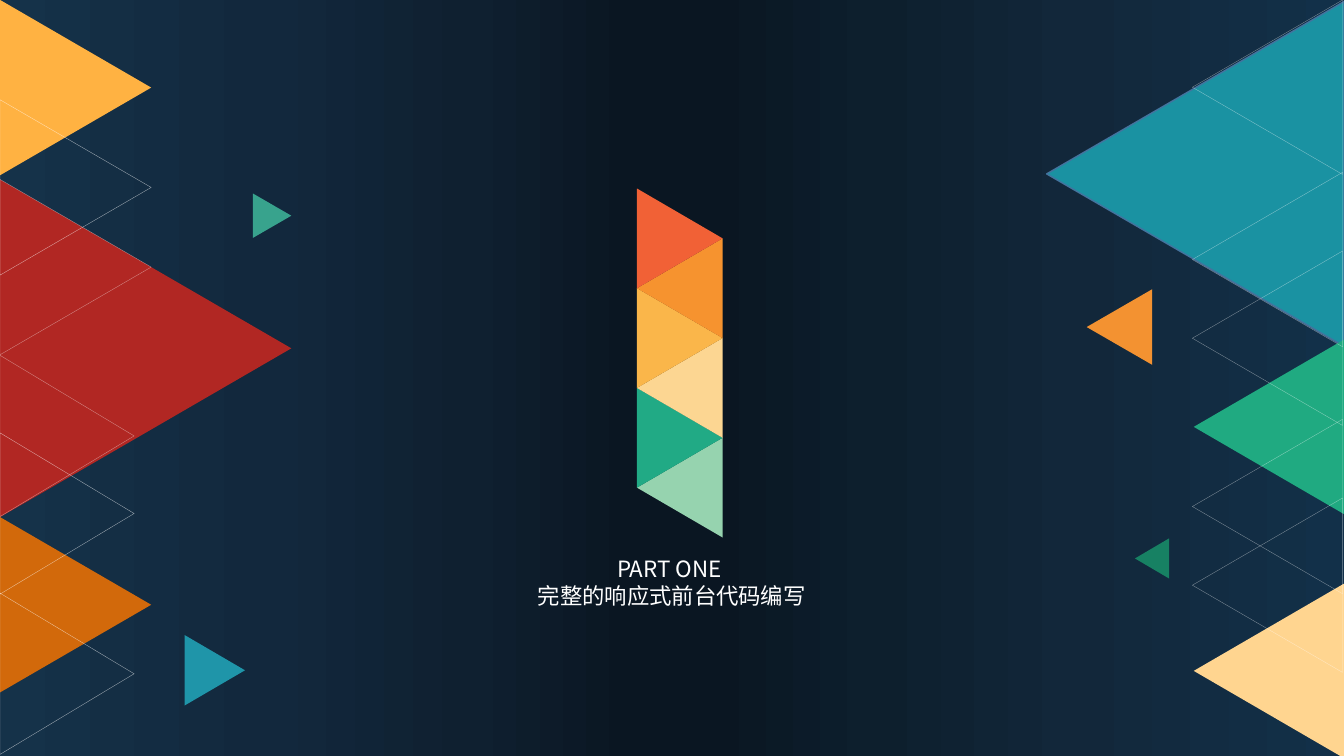
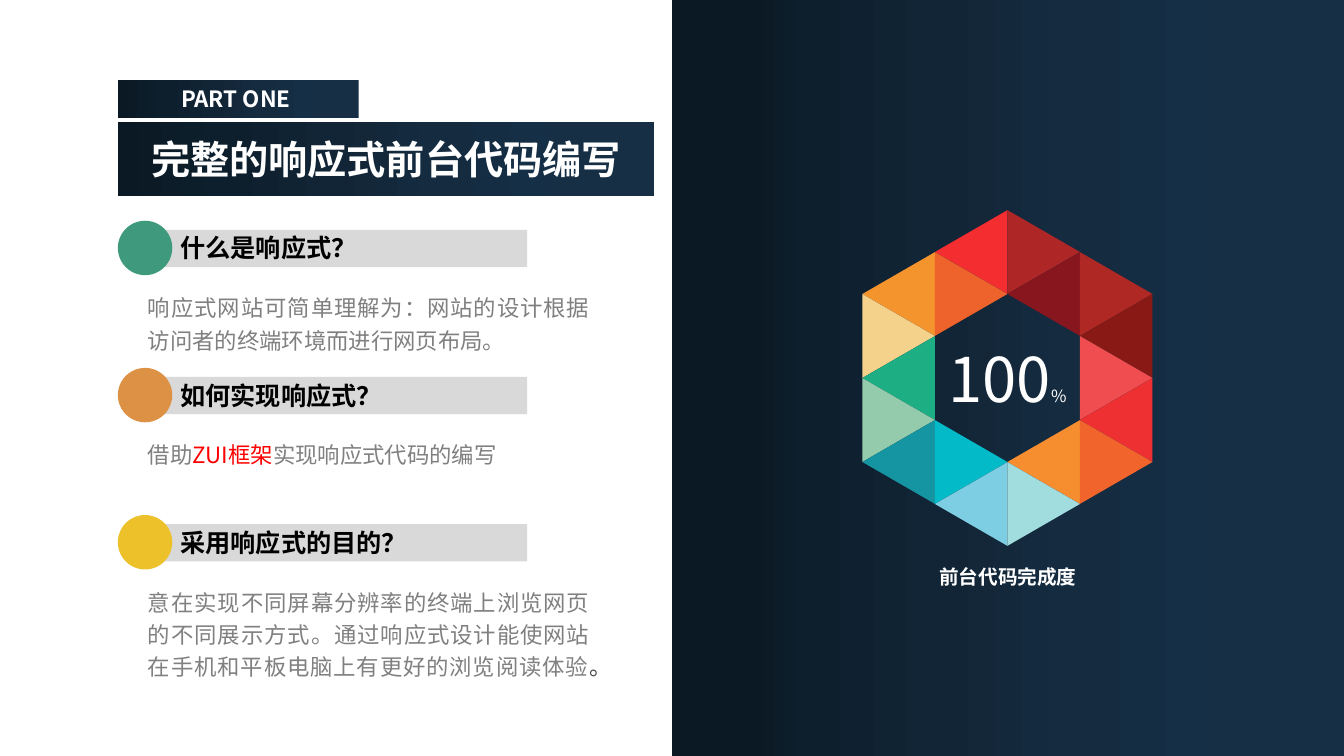
"""Build a section opener and a topic slide decorated with triangles."""
from dataclasses import dataclass
from typing import Any

from lxml import etree
from pptx import Presentation
from pptx import util as u
from pptx.dml import color as dml
from pptx.enum import shapes, text
from pptx.oxml.ns import qn

FONT = "Noto Sans CJK SC"
WHITE, BLACK, GREY = "FFFFFF", "000000", "808080"
WIDTH, HEIGHT = 960, 540
RIGHT, LEFT = 90, 270
PART, TITLE = "PART ONE ", "完整的响应式前台代码编写"

Stops = list[tuple[int, str]]
Runs = list[tuple[str, str]]
Box = tuple[float, float, float, float]

NIGHT: Stops = [(0, "123049"), (20, "12273A"), (35, "0D1F2D"), (47, "0A1622"),
                (53, "0A1622"), (65, "0F2030"), (80, "12283D"), (100, "153249")]
NAVY: Stops = [(0, "162F45"), (20, "152F46"), (40, "152B40"), (60, "122536"), (80, "0D1F2D")]
BAR_STOPS = NAVY + [(100, "0B1924")]
PANEL_STOPS = NAVY + [(88, "0B1924")]


@dataclass
class Triangle:
    base: float
    middle: float
    side: float
    reach: float
    facing: int
    fill: str = ""
    line: str = ""
    weight: float = 0.25
    opacity: int = 100


@dataclass
class Topic:
    heading: str
    dot: str
    height: float
    body: Runs


EDGES = [
    Triangle(WIDTH, 124.2, 246.2, 212.4, LEFT, "1A92A2", "43739E", 1),
    Triangle(WIDTH, 304.9, 124.6, 107.3, LEFT, "20AA81"),
    Triangle(WIDTH, 479.2, 124.6, 107.3, LEFT, "FFD590"),
    Triangle(0, 248.8, 241.2, 208.1, RIGHT, "B12723"),
    Triangle(0, 62.6, 125.3, 108, RIGHT, "FFB242"),
    Triangle(0, 432, 125.3, 108, RIGHT, "D2690B"),
]
OUTLINES = [
    Triangle(base, middle, side, reach, facing, line=WHITE, opacity=opacity)
    for base, side, reach, facing, rows in [
        (0, 125.3, 108, RIGHT, [(133.9, 60), (190.8, 45)]),
        (0, 115.2, 95.8, RIGHT, [(311.4, 45), (366.8, 60), (481.3, 60)]),
        (959, 124.6, 107.3, LEFT,
         [(middle, 45) for middle in (62.3, 185.4, 241.6, 361.8, 418)]),
    ]
    for middle, opacity in rows
]
LOOSE = [
    Triangle(823, 233.6, 54, 46.8, LEFT, "F39231"),
    Triangle(180.7, 154.1, 31.7, 27.4, RIGHT, "38A38D"),
    Triangle(131.8, 478.8, 50.4, 43.2, RIGHT, "1F95A9"),
    Triangle(835.2, 398.9, 28.8, 24.5, LEFT, "178163"),
]
NUMERAL = ["F16136", "F6932F", "FAB64A", "FCD692", "21AA85", "96D3AF"]
HEXAGON = [
    {1: "F4942D", 2: "F4D28C", 3: "1DAE84", 4: "93CBAC", 5: "1595A1"},
    {0: "F32D30", 1: "EE622B", 5: "03BBC8", 6: "7DCEE2"},
    {0: "AF2627", 1: "88161E", 5: "F68D2F", 6: "A1DCDF"},
    {1: "AF2823", 2: "881914", 3: "F04D50", 4: "EE3032", 5: "F1642B"},
]
TOPICS = [
    Topic("什么是响应式？", "3F997D", 52,
          [("响应式网站可简单理解为：网站的设计根据访问者的终端环境而进行网页布局。", GREY)]),
    Topic("如何实现响应式？", "DC9145", 30,
          [("借助", GREY), ("ZUI框架", "FF0000"), ("实现响应式代码的编写", GREY)]),
    Topic("采用响应式的目的？", "ECC129", 77,
          [("意在实现不同屏幕分辨率的终端上浏览网页的不同展示方式。"
            "通过响应式设计能使网站在手机和平板电脑上有更好的浏览阅读体验", GREY),
           ("。", "404040")]),
]


def rgb(code: str) -> dml.RGBColor:
    return dml.RGBColor.from_string(code)


def set_gradient(owner: Any, fill: Any, stops: Stops) -> None:
    fill.gradient()
    fill.gradient_angle = 180
    stop_list = next(owner.element.iter(qn("a:gsLst")))
    for stop in list(stop_list):
        stop_list.remove(stop)
    for position, code in stops:
        stop = etree.SubElement(stop_list, qn("a:gs"), pos=str(position * 1000))
        etree.SubElement(stop, qn("a:srgbClr"), val=code)


def add_shape(page: Any, kind: Any, box: Box, fill: str | Stops = "") -> Any:
    shape = page.shapes.add_shape(kind, *map(u.Pt, box))
    shape.shadow.inherit = False
    shape.line.fill.background()
    if isinstance(fill, list):
        set_gradient(shape, shape.fill, fill)
    elif fill:
        shape.fill.solid()
        shape.fill.fore_color.rgb = rgb(fill)
    else:
        shape.fill.background()
    return shape


def add_triangle(page: Any, item: Triangle) -> None:
    center = item.base + item.reach / 2 * (1 if item.facing == RIGHT else -1)
    box = (center - item.side / 2, item.middle - item.reach / 2, item.side, item.reach)
    shape = add_shape(page, shapes.MSO_SHAPE.ISOSCELES_TRIANGLE, box, item.fill)
    shape.rotation = item.facing
    if item.line:
        shape.line.color.rgb = rgb(item.line)
        shape.line.width = u.Pt(item.weight)
    if item.opacity < 100:
        color = shape.element.find(f".//{qn('a:ln')}//{qn('a:srgbClr')}")
        etree.SubElement(color, qn("a:alpha"), val=str(item.opacity * 1000))


def write(frame: Any, paragraphs: list[Runs], *, size: float, bold: bool = False,
          align: Any = text.PP_ALIGN.CENTER, spacing: float | None = None,
          small: float | None = None) -> None:
    frame.word_wrap = True
    for index, runs in enumerate(paragraphs):
        para = frame.add_paragraph() if index else frame.paragraphs[0]
        para.alignment = align
        para.line_spacing = spacing
        for order, (words, code) in enumerate(runs):
            span = para.add_run()
            span.text = words
            span.font.size = u.Pt(small if small and order else size)
            span.font.bold = bold
            span.font.color.rgb = rgb(code)
            span.font.name = FONT
            etree.SubElement(span.font._element, qn("a:ea"), typeface=FONT)


def add_text(page: Any, box: Box, paragraphs: list[Runs], **style: Any) -> None:
    frame = page.shapes.add_textbox(*map(u.Pt, box)).text_frame
    frame.auto_size = text.MSO_AUTO_SIZE.SHAPE_TO_FIT_TEXT
    write(frame, paragraphs, **style)


def add_bar(page: Any, box: Box, words: str, size: float) -> None:
    bar = add_shape(page, shapes.MSO_SHAPE.RECTANGLE, box, BAR_STOPS)
    bar.text_frame.vertical_anchor = text.MSO_ANCHOR.MIDDLE
    write(bar.text_frame, [[(words, WHITE)]], size=size, bold=True)


def add_topic(page: Any, topic: Topic, offset: float) -> None:
    add_shape(page, shapes.MSO_SHAPE.RECTANGLE, (105.8, 164.2 + offset, 270.7, 26.6), "D9D9D9")
    add_shape(page, shapes.MSO_SHAPE.OVAL, (84.2, 157.7 + offset, 38.9, 38.9), topic.dot)
    add_text(page, (121.7, 162.7 + offset, 180, 28.8), [[(topic.heading, BLACK)]],
             size=18, bold=True, align=text.PP_ALIGN.LEFT)
    add_text(page, (98.6, 203 + offset, 329.8, topic.height), [topic.body],
             size=16, align=text.PP_ALIGN.JUSTIFY, spacing=1.2)


def build_opener(page: Any) -> None:
    set_gradient(page, page.background.fill, NIGHT)
    numeral = [
        Triangle(516.2 if row % 2 else 455, 170.3 + 35.6 * row, 71.3, 61.2,
                 LEFT if row % 2 else RIGHT, fill)
        for row, fill in enumerate(NUMERAL)
    ]
    for item in EDGES + numeral[::-1] + OUTLINES + LOOSE:
        add_triangle(page, item)
    add_text(page, (240.5, 393.1, 478.8, 46.1), [[(PART, WHITE)], [(TITLE, WHITE)]], size=16)


def build_hexagon(page: Any) -> None:
    reach = 51.8
    for column, cells in enumerate(HEXAGON):
        for row, fill in cells.items():
            odd = (column + row) % 2
            base = 616 + reach * (column + odd)
            add_triangle(page, Triangle(base, 180 + 30 * row, 59.8, reach,
                                        LEFT if odd else RIGHT, fill))


def build_topics(page: Any) -> None:
    add_shape(page, shapes.MSO_SHAPE.RECTANGLE, (WIDTH / 2, 0, WIDTH / 2, HEIGHT), PANEL_STOPS)
    build_hexagon(page)
    add_text(page, (616.3, 400.3, 207.4, 24.5), [[("前台代码完成度", WHITE)]], size=14, bold=True)
    add_text(page, (668.2, 239.8, 103, 60.5), [[("100", WHITE), ("%", WHITE)]], size=44, small=12)
    add_bar(page, (84.2, 56.9, 172.1, 27.4), PART, 16)
    add_bar(page, (84.2, 87.1, 383, 52.6), TITLE, 28)
    for index, topic in enumerate(TOPICS):
        add_topic(page, topic, 105.1 * index)


def main() -> None:
    deck = Presentation()
    deck.slide_width, deck.slide_height = u.Pt(WIDTH), u.Pt(HEIGHT)
    for build in (build_opener, build_topics):
        build(deck.slides.add_slide(deck.slide_layouts[6]))
    deck.save("out.pptx")


if __name__ == "__main__":
    main()
